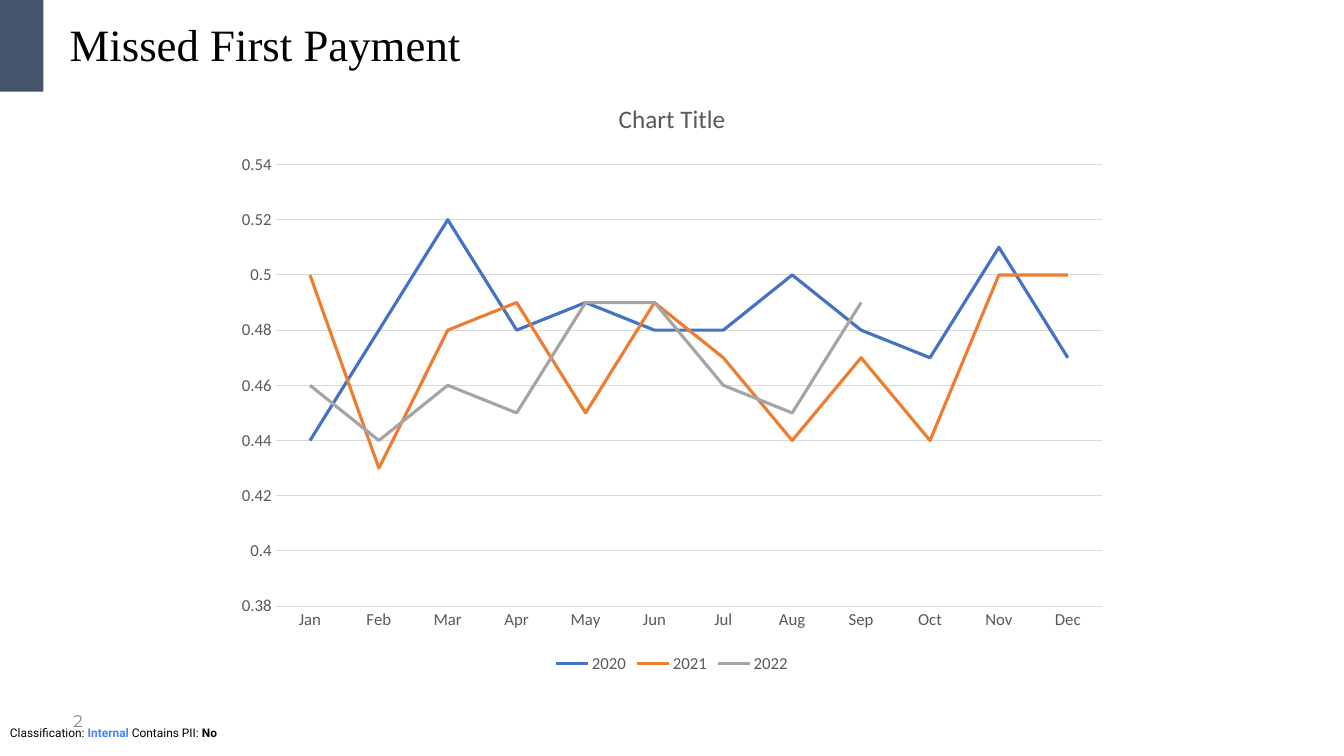
import pptx
import pptx.util
import pptx.chart.data
import pptx.dml.color
import pptx.enum.chart
import pptx.enum.shapes
import pptx.enum.text
from dataclasses import dataclass
from pptx.util import Inches


@dataclass(frozen=True)
class Theme:
    accent: str = "44546A"
    black: str = "000000"
    internal: str = "4285F4"
    number: str = "888888"
    label: str = "595959"
    grid: str = "D9D9D9"
    title_size: float = 32
    chart_title_size: float = 18
    label_size: float = 12
    footer_size: float = 8.5
    line_width: float = 2.25
    grid_width: float = 0.75
    title_font: str = "Times New Roman"
    chart_font: str = "Calibri"
    number_font: str = "Montserrat"
    footer_font: str = "Roboto"


THEME = Theme()
MONTHS = ["Jan", "Feb", "Mar", "Apr", "May", "Jun",
          "Jul", "Aug", "Sep", "Oct", "Nov", "Dec"]
MISSED_PAYMENTS = [
    ("2020", "4472C4", [0.44, 0.48, 0.52, 0.48, 0.49, 0.48,
                        0.48, 0.5, 0.48, 0.47, 0.51, 0.47]),
    ("2021", "ED7D31", [0.5, 0.43, 0.48, 0.49, 0.45, 0.49,
                        0.47, 0.44, 0.47, 0.44, 0.5, 0.5]),
    ("2022", "A5A5A5", [0.46, 0.44, 0.46, 0.45, 0.49, 0.49,
                        0.46, 0.45, 0.49, None, None, None]),
]


def rgb(color):
    return pptx.dml.color.RGBColor.from_string(color)


def style_font(font, name, size, color):
    font.name = name
    font.size = pptx.util.Pt(size)
    font.color.rgb = rgb(color)


def style_line(line, color, width):
    line.color.rgb = rgb(color)
    line.width = pptx.util.Pt(width)


def add_title(page, text):
    title = page.shapes.title
    title.left, title.top = Inches(0.59), Inches(0.11)
    title.width, title.height = Inches(11.57), Inches(0.72)
    frame = title.text_frame
    frame.text = text
    frame.auto_size = pptx.enum.text.MSO_AUTO_SIZE.NONE
    frame.vertical_anchor = pptx.enum.text.MSO_ANCHOR.MIDDLE
    para = frame.paragraphs[0]
    para.alignment = pptx.enum.text.PP_ALIGN.LEFT
    para.line_spacing = 0.9
    style_font(para.font, THEME.title_font, THEME.title_size, THEME.black)


def add_accent_block(page):
    block = page.shapes.add_shape(
        pptx.enum.shapes.MSO_SHAPE.RECTANGLE, 0, 0, Inches(0.43), Inches(0.91))
    block.shadow.inherit = False
    block.fill.solid()
    block.fill.fore_color.rgb = rgb(THEME.accent)
    block.line.fill.background()


def add_text_box(page, left, top, width, height):
    box = page.shapes.add_textbox(left, top, width, height)
    box.text_frame.word_wrap = True
    return box.text_frame


def add_classification(page):
    frame = add_text_box(page, 0, Inches(7.15), Inches(13.33), Inches(0.24))
    para = frame.paragraphs[0]
    style_font(para.font, THEME.footer_font, THEME.footer_size, THEME.black)
    for text, bold, color in [("Classification: ", False, THEME.black),
                              ("Internal", True, THEME.internal),
                              (" Contains PII: ", False, THEME.black),
                              ("No", True, THEME.black)]:
        span = para.add_run()
        span.text = text
        span.font.bold = bold
        style_font(span.font, THEME.footer_font, THEME.footer_size, color)


def add_page_number(page, number):
    frame = add_text_box(page, Inches(0.49), Inches(6.95), Inches(0.43), Inches(0.4))
    frame.vertical_anchor = pptx.enum.text.MSO_ANCHOR.MIDDLE
    para = frame.paragraphs[0]
    para.text = number
    para.alignment = pptx.enum.text.PP_ALIGN.RIGHT
    style_font(para.font, THEME.number_font, THEME.label_size, THEME.number)


def style_axis(axis):
    axis.major_tick_mark = pptx.enum.chart.XL_TICK_MARK.NONE
    axis.minor_tick_mark = pptx.enum.chart.XL_TICK_MARK.NONE
    style_font(axis.tick_labels.font, THEME.chart_font, THEME.label_size, THEME.label)


def style_value_axis(axis):
    style_axis(axis)
    axis.minimum_scale, axis.maximum_scale, axis.major_unit = 0.38, 0.54, 0.02
    axis.tick_labels.number_format = "General"
    axis.tick_labels.number_format_is_linked = False
    axis.format.line.fill.background()
    style_line(axis.major_gridlines.format.line, THEME.grid, THEME.grid_width)


def add_line_chart(page):
    data = pptx.chart.data.CategoryChartData()
    data.categories = MONTHS
    for year, color, shares in MISSED_PAYMENTS:
        data.add_series(year, shares)
    chart = page.shapes.add_chart(
        pptx.enum.chart.XL_CHART_TYPE.LINE, Inches(2.22), Inches(0.79),
        Inches(8.89), Inches(5.93), data).chart
    style_font(chart.font, THEME.chart_font, THEME.label_size, THEME.label)
    chart.has_title = True
    para = chart.chart_title.text_frame.paragraphs[0]
    para.text = "Chart Title"
    para.font.bold = False
    style_font(para.font, THEME.chart_font, THEME.chart_title_size, THEME.label)
    chart.has_legend = True
    chart.legend.position = pptx.enum.chart.XL_LEGEND_POSITION.BOTTOM
    chart.legend.include_in_layout = False
    style_font(chart.legend.font, THEME.chart_font, THEME.label_size, THEME.label)
    style_axis(chart.category_axis)
    style_line(chart.category_axis.format.line, THEME.grid, THEME.grid_width)
    style_value_axis(chart.value_axis)
    plot = chart.plots[0]
    plot.vary_by_categories = False
    for series, (year, color, shares) in zip(plot.series, MISSED_PAYMENTS):
        series.smooth = False
        series.marker.style = pptx.enum.chart.XL_MARKER_STYLE.NONE
        style_line(series.format.line, color, THEME.line_width)


def main():
    deck = pptx.Presentation()
    deck.slide_width, deck.slide_height = Inches(13.33), Inches(7.5)
    page = deck.slides.add_slide(deck.slide_layouts.get_by_name("Title Only"))
    add_classification(page)
    add_accent_block(page)
    add_title(page, "Missed First Payment")
    add_page_number(page, "2")
    add_line_chart(page)
    deck.save("out.pptx")


main()
